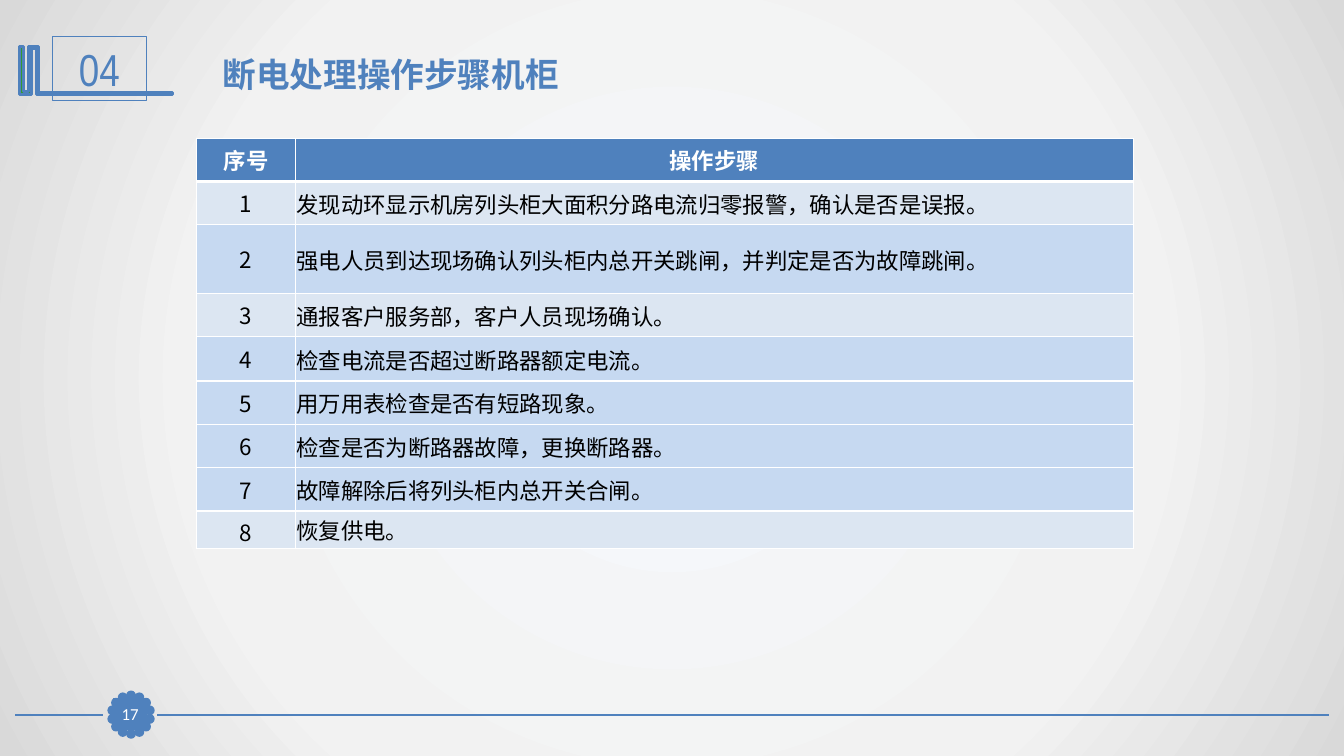
import math
from dataclasses import dataclass

import pptx
import pptx.dml.color
import pptx.enum.shapes
import pptx.enum.text
import pptx.oxml
import pptx.oxml.ns
import pptx.util

Inches = pptx.util.Inches
Pt = pptx.util.Pt
RGB = pptx.dml.color.RGBColor.from_string
SHAPE = pptx.enum.shapes.MSO_SHAPE
ALIGN = pptx.enum.text.PP_ALIGN
MIDDLE = pptx.enum.text.MSO_ANCHOR.MIDDLE
NS = pptx.oxml.ns.nsdecls("a")


@dataclass
class Theme:
    blue: str = "4F81BD"
    green: str = "339933"
    white: str = "FFFFFF"
    black: str = "000000"
    pale: str = "DCE6F2"
    sky: str = "C6D9F1"
    backdrop: tuple = ((0, "F6F9FC"), (63, "F2F2F2"), (100, "D9D9D9"))
    latin: str = "Calibri"
    narrow: str = "Arial Narrow"
    cjk: str = "Noto Sans CJK SC"
    section: int = 32
    title: int = 24
    body: int = 16
    page: int = 12


theme = Theme()


def write(tf, text, size, font, color, bold=False, align=ALIGN.LEFT):
    p = tf.paragraphs[0]
    p.alignment = align
    r = p.add_run()
    r.text = text
    for key, value in {"size": Pt(size), "name": font, "bold": bold}.items():
        setattr(r.font, key, value)
    r.font.color.rgb = RGB(color)
    r._r.get_or_add_rPr().append(
        pptx.oxml.parse_xml(f'<a:ea {NS} typeface="{theme.cjk}"/>'))


def style(sp, fill, width):
    sp.shadow.inherit = False
    if fill:
        sp.fill.solid()
        sp.fill.fore_color.rgb = RGB(fill)
    else:
        sp.fill.background()
    sp.line.color.rgb = RGB(theme.blue)
    sp.line.width = Pt(width)


prs = pptx.Presentation()
prs.slide_width, prs.slide_height = Inches(13.33), Inches(7.5)
s = prs.slides.add_slide(prs.slide_layouts[6])

# Background: radial gradient from the centre
s.background.fill.gradient()
grad = s.element.find(".//" + pptx.oxml.ns.qn("a:gradFill"))
stops = "".join(f'<a:gs pos="{pos * 1000}"><a:srgbClr val="{color}"/></a:gs>'
                for pos, color in theme.backdrop)
grad.getparent().replace(grad, pptx.oxml.parse_xml(
    f'<a:gradFill {NS} rotWithShape="1"><a:gsLst>{stops}</a:gsLst>'
    '<a:path path="circle"><a:fillToRect l="50000" t="50000" r="50000" b="50000"/>'
    '</a:path></a:gradFill>'))

# Footer rule on both sides of the badge
for x1, x2 in ((13.18, 1.56), (1.02, 0.15)):
    line = s.shapes.add_connector(pptx.enum.shapes.MSO_CONNECTOR.STRAIGHT,
                                  Inches(x1), Inches(7.09), Inches(x2), Inches(7.09))
    line.line.color.rgb = RGB(theme.blue)
    line.line.width = Pt(1.25)
    line._element.spPr.append(pptx.oxml.parse_xml(f"<a:effectLst {NS}/>"))

# Badge: a ring of dots around the page number
badge = s.shapes.add_group_shape()
dots, dot, radius = 14, 0.07, 0.19
for i in range(dots):
    angle = 2 * math.pi * i / dots
    x = 1.3 + radius * math.sin(angle) - dot / 2
    y = 7.09 - radius * math.cos(angle) - dot / 2
    sp = badge.shapes.add_shape(SHAPE.OVAL, Inches(x), Inches(y), Inches(dot), Inches(dot))
    style(sp, theme.blue, 2)

# Book outline, in hundredths of an inch
outline = [(37, 46), (38, 46), (38, 92), (171, 92), (171, 94), (36, 94), (36, 48),
           (31, 48), (31, 94), (19, 94), (19, 46), (23, 46), (23, 91), (28, 91), (28, 46)]
builder = s.shapes.build_freeform(*outline[0], scale=Inches(0.01))
builder.add_line_segments(outline[1:], close=True)
style(builder.convert_to_shape(), theme.green, 2)

# Section number and page number
for box, fill, text, size, font, color, inset in (
        ((0.52, 0.36, 0.93, 0.64), None, "04", theme.section, theme.narrow, theme.blue, 0.05),
        ((1.13, 6.93, 0.32, 0.31), theme.blue, "17", theme.page, theme.latin, theme.white, 0)):
    sp = s.shapes.add_shape(SHAPE.RECTANGLE, *map(Inches, box))
    style(sp, fill, 0.75)
    tf = sp.text_frame
    tf.vertical_anchor = MIDDLE
    for side in ("left", "top", "right", "bottom"):
        setattr(tf, f"margin_{side}", Inches(inset))
    write(tf, text, size, font, color, align=ALIGN.CENTER)

# Title
tf = s.shapes.add_textbox(Inches(2.11), Inches(0.49), Inches(5.32), Inches(0.5)).text_frame
tf.word_wrap = True
write(tf, "断电处理操作步骤机柜", theme.title, theme.latin, theme.blue, bold=True)

# Table of steps: text, row height, row fill
steps = [
    ("操作步骤", 0.43, theme.blue),
    ("发现动环显示机房列头柜大面积分路电流归零报警，确认是否是误报。", 0.43, theme.pale),
    ("强电人员到达现场确认列头柜内总开关跳闸，并判定是否为故障跳闸。", 0.68, theme.sky),
    ("通报客户服务部，客户人员现场确认。", 0.43, theme.pale),
    ("检查电流是否超过断路器额定电流。", 0.44, theme.sky),
    ("用万用表检查是否有短路现象。", 0.43, theme.sky),
    ("检查是否为断路器故障，更换断路器。", 0.43, theme.sky),
    ("故障解除后将列头柜内总开关合闸。", 0.43, theme.sky),
    ("恢复供电。", 0.37, theme.pale),
]
step_margins = {"margin_left": Inches(0.01), "margin_top": Inches(0.01),
                "margin_right": Inches(0.01), "margin_bottom": 0}
table = s.shapes.add_table(len(steps), 2, Inches(1.95), Inches(1.37),
                           Inches(9.29), Inches(4.09)).table
table.columns[0].width, table.columns[1].width = Inches(0.98), Inches(8.31)
for i, (step, height, fill) in enumerate(steps):
    table.rows[i].height = Inches(height)
    header = i == 0
    for j, text in enumerate((str(i) if i else "序号", step)):
        cell = table.cell(i, j)
        cell.vertical_anchor = MIDDLE
        cell.fill.solid()
        cell.fill.fore_color.rgb = RGB(fill)
        is_step = j == 1 and not header
        if is_step:
            for key, value in step_margins.items():
                setattr(cell, key, value)
        write(cell.text_frame, text, theme.body, theme.cjk,
              theme.white if header else theme.black, header,
              ALIGN.LEFT if is_step else ALIGN.CENTER)
        # White borders, heavier under the header
        widths = {"L": 1, "R": 1, "T": 3 if i == 1 else 1, "B": 3 if header else 1}
        for k, (side, width) in enumerate(widths.items()):
            cell._tc.get_or_add_tcPr().insert(k, pptx.oxml.parse_xml(
                f'<a:ln{side} {NS} w="{Pt(width)}"><a:solidFill>'
                f'<a:srgbClr val="{theme.white}"/></a:solidFill></a:ln{side}>'))

prs.save("out.pptx")
